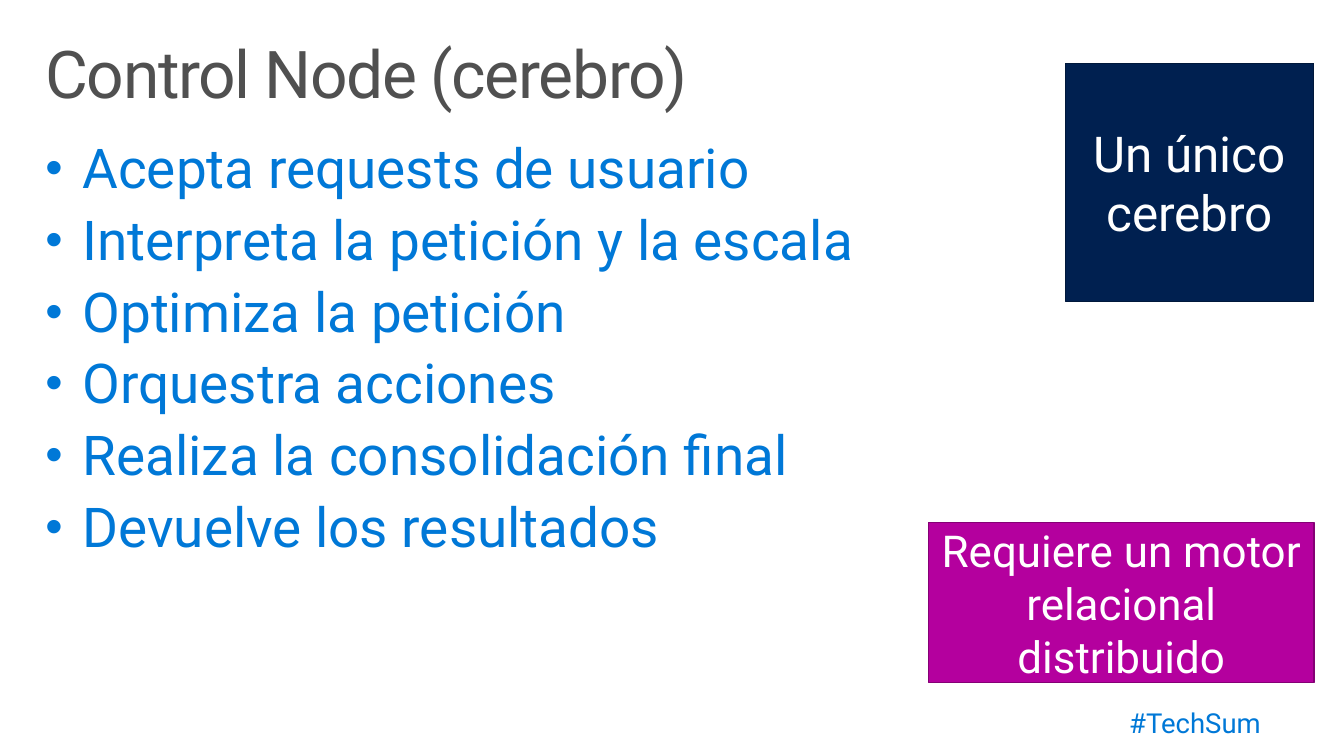
import pptx
import pptx.dml.color
import pptx.enum.shapes
import pptx.enum.text
import pptx.oxml.ns
import pptx.util
from lxml import etree

Pt = pptx.util.Pt
ALIGN = pptx.enum.text.PP_ALIGN
ANCHOR = pptx.enum.text.MSO_ANCHOR

COLORS = {
    "blue": "0078D7",
    "gray": "505050",
    "white": "FFFFFF",
    "navy": "002050",
    "navy_line": "00183B",
    "magenta": "B4009E",
    "magenta_line": "850075",
}


def rgb(name):
    return pptx.dml.color.RGBColor.from_string(COLORS[name])


def add_bullet(p, indent):
    pPr = p._p.get_or_add_pPr()
    pPr.set("marL", str(Pt(indent)))
    pPr.set("indent", str(-Pt(indent)))
    for tag, key, value in (
        ("a:buSzPct", "val", "90000"),
        ("a:buFont", "typeface", "Arial"),
        ("a:buChar", "char", "•"),
    ):
        etree.SubElement(pPr, pptx.oxml.ns.qn(tag)).set(key, value)


def write(p, text, size, color, font="Roboto", align=ALIGN.LEFT,
          line=1.0, before=0, after=0, indent=0, spacing=0):
    if indent:
        add_bullet(p, indent)
    p.alignment = align
    p.line_spacing = line
    p.space_before = Pt(before)
    p.space_after = Pt(after)
    r = p.add_run()
    r.text = text
    r.font.name = font
    r.font.size = Pt(size)
    r.font.color.rgb = rgb(color)
    if spacing:
        r._r.get_or_add_rPr().set("spc", str(int(spacing * 100)))


class Deck:
    def __init__(self, width, height):
        self.prs = pptx.Presentation()
        self.prs.slide_width = Pt(width)
        self.prs.slide_height = Pt(height)
        self.s = None

    def add_slide(self):
        self.s = self.prs.slides.add_slide(self.prs.slide_layouts[1])
        fill = self.s.background.fill
        fill.solid()
        fill.fore_color.rgb = rgb("white")

    def frame(self, sp, inset_x, inset_y, anchor=ANCHOR.TOP):
        tf = sp.text_frame
        tf.word_wrap = True
        tf.auto_size = pptx.enum.text.MSO_AUTO_SIZE.NONE
        tf.vertical_anchor = anchor
        tf.margin_left = tf.margin_right = Pt(inset_x)
        tf.margin_top = tf.margin_bottom = Pt(inset_y)
        return tf

    def place(self, sp, x, y, w, h):
        sp.left, sp.top, sp.width, sp.height = Pt(x), Pt(y), Pt(w), Pt(h)

    def title(self, text, *box):
        sp = self.s.shapes.title
        self.place(sp, *box)
        tf = self.frame(sp, 11.5, 7.2)
        write(tf.paragraphs[0], text, 48, "gray", line=0.9, spacing=-1)

    def bullets(self, items, *box):
        sp = self.s.placeholders[1]
        self.place(sp, *box)
        tf = self.frame(sp, 11.5, 7.2)
        for i, text in enumerate(items):
            p = tf.add_paragraph() if i else tf.paragraphs[0]
            write(p, text, 40, "blue", line=0.9, before=9 if i else 0, indent=27)

    def hashtag(self, text, *box):
        sp = self.s.shapes.add_textbox(*map(Pt, box))
        tf = self.frame(sp, 14.4, 11.5)
        write(tf.paragraphs[0], text, 20, "blue", align=ALIGN.RIGHT, line=0.9, after=6)

    def callout(self, text, size, color, *box):
        sp = self.s.shapes.add_shape(
            pptx.enum.shapes.MSO_SHAPE.RECTANGLE, *map(Pt, box))
        sp.shadow.inherit = False
        sp.fill.solid()
        sp.fill.fore_color.rgb = rgb(color)
        sp.line.color.rgb = rgb(color + "_line")
        sp.line.width = Pt(0.85)
        tf = self.frame(sp, 7.2, 3.6, ANCHOR.MIDDLE)
        write(tf.paragraphs[0], text, size, "white", align=ALIGN.CENTER)


def main():
    deck = Deck(979.2, 550.8)
    deck.add_slide()
    deck.hashtag("#TechSum", 645.8, 505.4, 287.3, 45.4)
    deck.bullets([
        "Acepta requests de usuario",
        "Interpreta la petición y la escala",
        "Optimiza la petición",
        "Orquestra acciones",
        "Realiza la consolidación final",
        "Devuelve los resultados",
    ], 21.6, 95.8, 936, 378)
    deck.title("Control Node (cerebro)", 21.6, 23, 936, 72)
    deck.callout("Un único cerebro", 36, "navy", 776.2, 46, 181, 173.5)
    deck.callout("Requiere un motor relacional distribuido", 32, "magenta",
                 676.6, 380.9, 280.8, 116.6)
    deck.prs.save("out.pptx")


if __name__ == "__main__":
    main()
